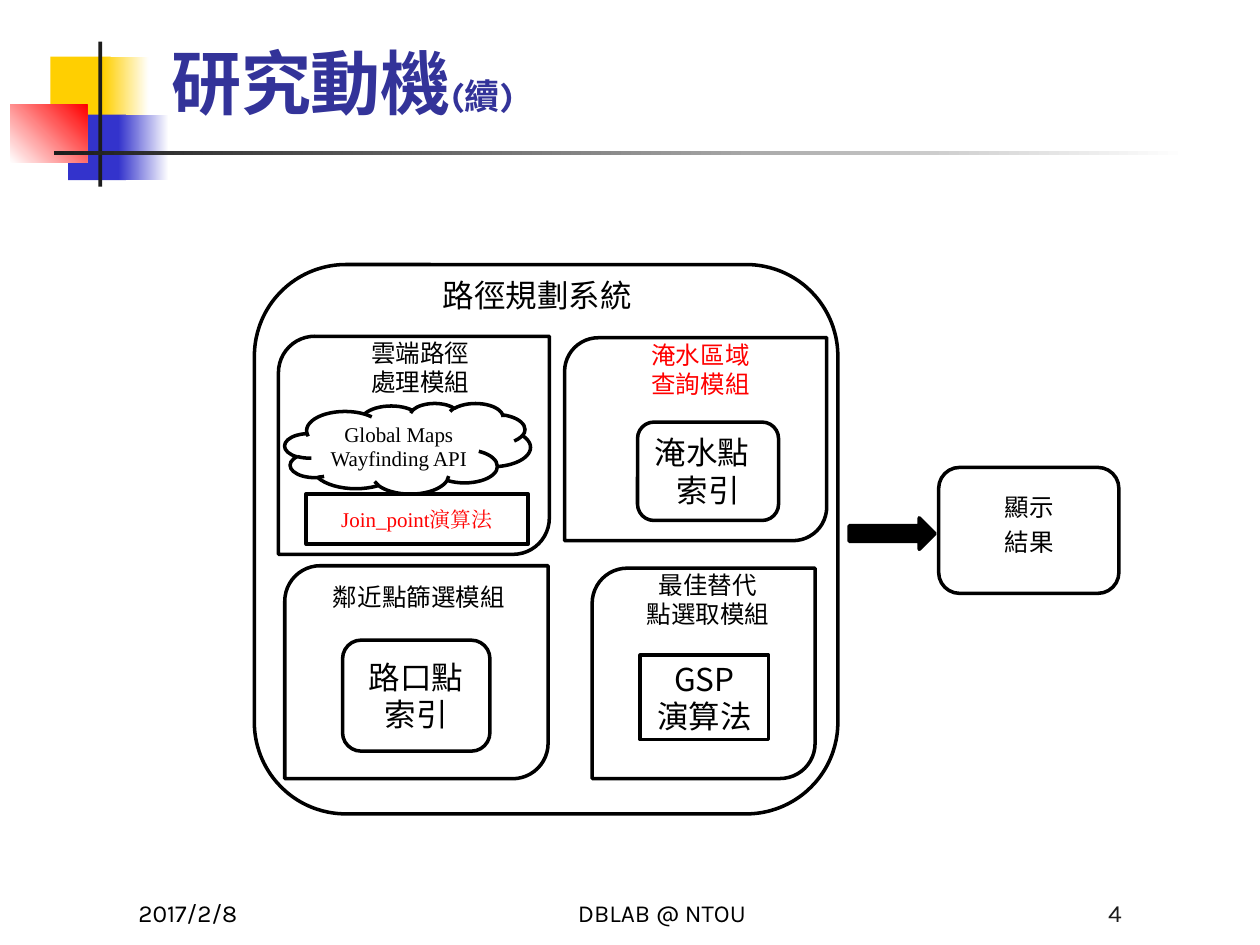
from lxml import etree
from pptx import Presentation
from pptx.dml.color import RGBColor
from pptx.enum import shapes, text
from pptx.oxml import ns
from pptx.util import Pt

BLACK = RGBColor(0, 0, 0)
WHITE = RGBColor(255, 255, 255)
RED = RGBColor(255, 0, 0)
GOLD = RGBColor(0xFF, 0xCF, 0x01)
BLUE = RGBColor(0x33, 0x33, 0xCC)
NAVY = RGBColor(0x33, 0x33, 0x99)
DARK = RGBColor(0x1C, 0x1C, 0x1C)

KARLA, NOTO, TIMES = "Karla", "Noto Sans CJK SC", "Times New Roman"
KIND = shapes.MSO_SHAPE
RECT, ROUND = KIND.RECTANGLE, KIND.ROUNDED_RECTANGLE
LEAF = KIND.ROUND_2_DIAG_RECTANGLE
LEFT, MID, RIGHT = text.PP_ALIGN.LEFT, text.PP_ALIGN.CENTER, text.PP_ALIGN.RIGHT
TOP, CENTER, LOW = (text.MSO_ANCHOR.TOP, text.MSO_ANCHOR.MIDDLE,
                    text.MSO_ANCHOR.BOTTOM)


def draw(slide, kind, box, fill=None, line=None):
    shape = slide.shapes.add_shape(kind, *map(Pt, box))
    shape.shadow.inherit = False
    if fill is None:
        shape.fill.background()
    else:
        shape.fill.solid()
        shape.fill.fore_color.rgb = fill
    if line is None:
        shape.line.fill.background()
    else:
        shape.line.color.rgb = line
        shape.line.width = Pt(2)
    return shape


def fade(slide, box, start, end, angle=0):
    """Draw a rectangle with a two-colour gradient."""
    fill = draw(slide, RECT, box).fill
    fill.gradient()
    fill.gradient_angle = angle
    for stop, color in zip(fill.gradient_stops, (start, end)):
        stop.color.rgb = color


def add_run(para, words, size, color, font, bold=False):
    run = para.add_run()
    run.text = words
    run.font.size = Pt(size)
    run.font.name = font
    run.font.bold = bold
    run.font.color.rgb = color
    asian = etree.SubElement(run.font._element, ns.qn("a:ea"))
    asian.set("typeface", font)


def set_frame(shape, anchor, side=0, edge=0):
    frame = shape.text_frame
    frame.word_wrap = True
    frame.vertical_anchor = anchor
    frame.margin_left = frame.margin_right = Pt(side)
    frame.margin_top = frame.margin_bottom = Pt(edge)
    return frame


def write(shape, lines, size=14, color=BLACK, font=KARLA, pitch=16.5,
          anchor=CENTER, side=0, edge=0):
    """Fill a shape with centred lines set at a fixed pitch."""
    frame = set_frame(shape, anchor, side, edge)
    for i, words in enumerate(lines):
        para = frame.add_paragraph() if i else frame.paragraphs[0]
        para.alignment = MID
        para.line_spacing = Pt(pitch)
        add_run(para, words, size, color, font)


def add_label(slide, box, runs, align=LEFT):
    """Add one line of mixed runs, resting on the bottom of its box."""
    frame = set_frame(slide.shapes.add_textbox(*map(Pt, box)), LOW, 7.2, 3.6)
    para = frame.paragraphs[0]
    para.alignment = align
    for run in runs:
        add_run(para, *run)


def add_decor(slide):
    draw(slide, RECT, (28.8, 32.4, 34.5, 37.4), GOLD)
    fade(slide, (59, 32.4, 26, 37.4), GOLD, WHITE)
    draw(slide, RECT, (39, 65.5, 33, 37.4), BLUE)
    fade(slide, (67.5, 65.5, 29, 37.4), BLUE, WHITE)
    fade(slide, (5.8, 59.8, 44, 33), WHITE, RED, 45)
    draw(slide, RECT, (56.2, 23.8, 2.2, 82.8), DARK)
    fade(slide, (31, 86.4, 648, 2.2), DARK, WHITE)


def add_labels(slide):
    add_label(slide, (90.7, 12.2, 613.4, 62),
              [("研究動機", 40, NAVY, KARLA, True),
               ("(續)", 20, NAVY, KARLA, True)])
    for left, width, words, color, align in (
            (72, 150, "2017/2/8", BLACK, LEFT),
            (264.2, 228.2, "DBLAB @ NTOU", BLACK, MID),
            (498.2, 150, "4", DARK, RIGHT)):
        add_label(slide, (left, 497.5, width, 36),
                  [(words, 14, color, KARLA)], align)


def add_system(slide):
    draw(slide, ROUND, (145.4, 151.2, 333.4, 313.9), WHITE, BLACK)
    name = draw(slide, RECT, (149, 155.5, 316, 33.8))
    write(name, ["路徑規劃系統"], 18, pitch=20, anchor=TOP, edge=3.6)

    for head, panel, lines, color, font in (
            ((170, 191.5, 140.4, 36.7), (159.1, 192.2, 154.8, 124.6),
             ["雲端路徑", "處理模組"], BLACK, KARLA),
            ((330.5, 190.8, 139.7, 41), (322.6, 193, 149.8, 116),
             ["淹水區域", "查詢模組"], RED, KARLA),
            ((172.8, 326.2, 133.2, 30.2), (162.7, 323.3, 150.5, 121.7),
             ["鄰近點篩選模組"], BLACK, KARLA),
            ((352, 327.6, 105.1, 30.2), (338.4, 324.7, 127.4, 120.2),
             ["最佳替代", "點選取模組"], BLACK, NOTO)):
        write(draw(slide, RECT, head, WHITE), lines, color=color, font=font)
        draw(slide, LEAF, panel, line=BLACK)


def add_parts(slide):
    """Add the indexes and algorithms inside the modules."""
    join = draw(slide, RECT, (175, 282.2, 126.7, 28.8), WHITE, BLACK)
    write(join, ["Join_point演算法"], 12, RED, TIMES, 14)
    cloud = draw(slide, KIND.CLOUD, (162.7, 230.4, 140.4, 51.8), line=BLACK)
    write(cloud, ["Global Maps", "Wayfinding API"], 12, font=TIMES, pitch=14)

    flood = draw(slide, ROUND, (364.3, 241.2, 80.6, 56.2), WHITE, BLACK)
    write(flood, ["淹水點", "索引"], 18, pitch=21.5, side=7.2)
    flood.text_frame.paragraphs[0].alignment = LEFT
    road = draw(slide, ROUND, (195.8, 365.8, 84.2, 63.4), WHITE, BLACK)
    write(road, ["路口點", "索引"], 18, font=NOTO, pitch=21.5)
    search = draw(slide, RECT, (365.8, 374.4, 73.4, 48.2), line=BLACK)
    write(search, ["GSP", "演算法"], 18, font=NOTO, pitch=21.5)


def add_result(slide):
    draw(slide, ROUND, (536.4, 267.1, 103, 72), WHITE, BLACK)
    label = draw(slide, RECT, (546.5, 274.3, 83.5, 56.2), WHITE)
    write(label, ["顯示", "結果"], pitch=20, anchor=TOP, edge=3.6)
    draw(slide, KIND.RIGHT_ARROW, (485.3, 295.9, 49, 18), BLACK, BLACK)


def main():
    deck = Presentation()
    deck.slide_width, deck.slide_height = Pt(720), Pt(540)
    slide = deck.slides.add_slide(deck.slide_layouts[6])
    add_decor(slide)
    add_labels(slide)
    add_system(slide)
    add_parts(slide)
    add_result(slide)
    deck.save("out.pptx")


if __name__ == "__main__":
    main()
